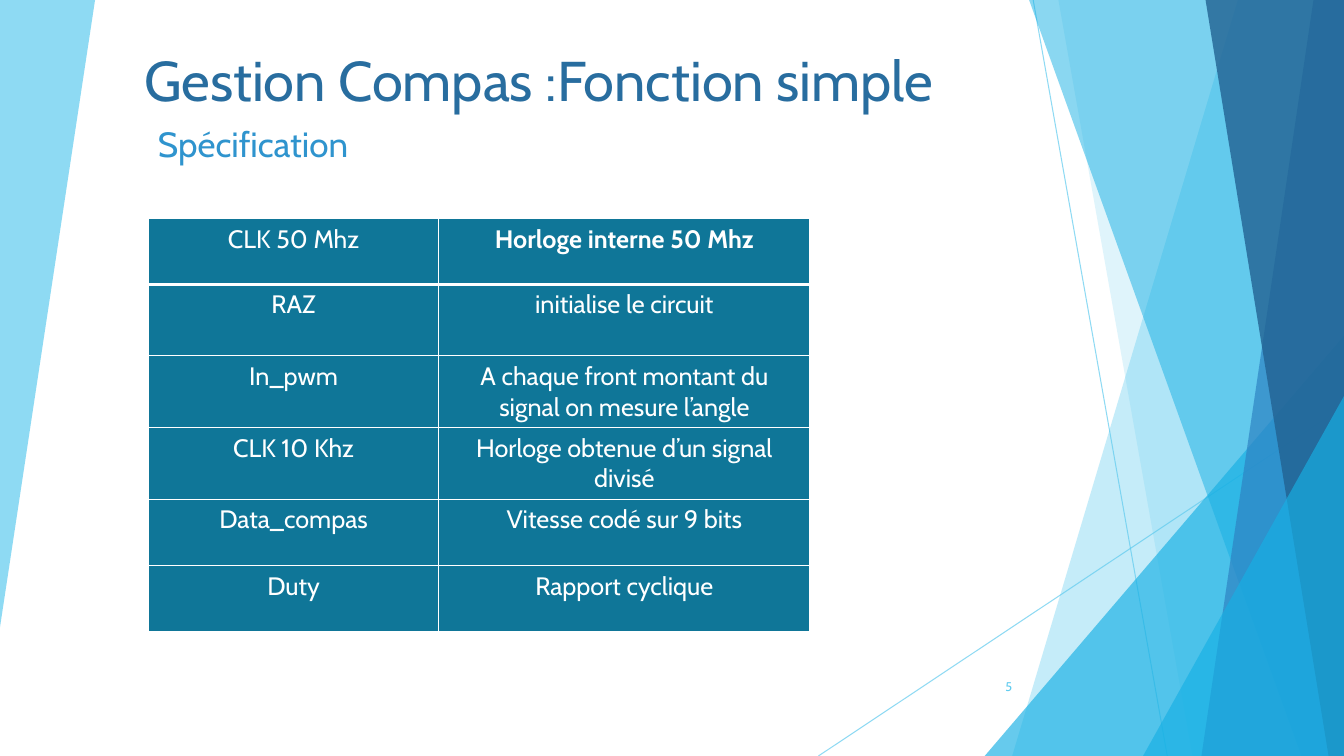
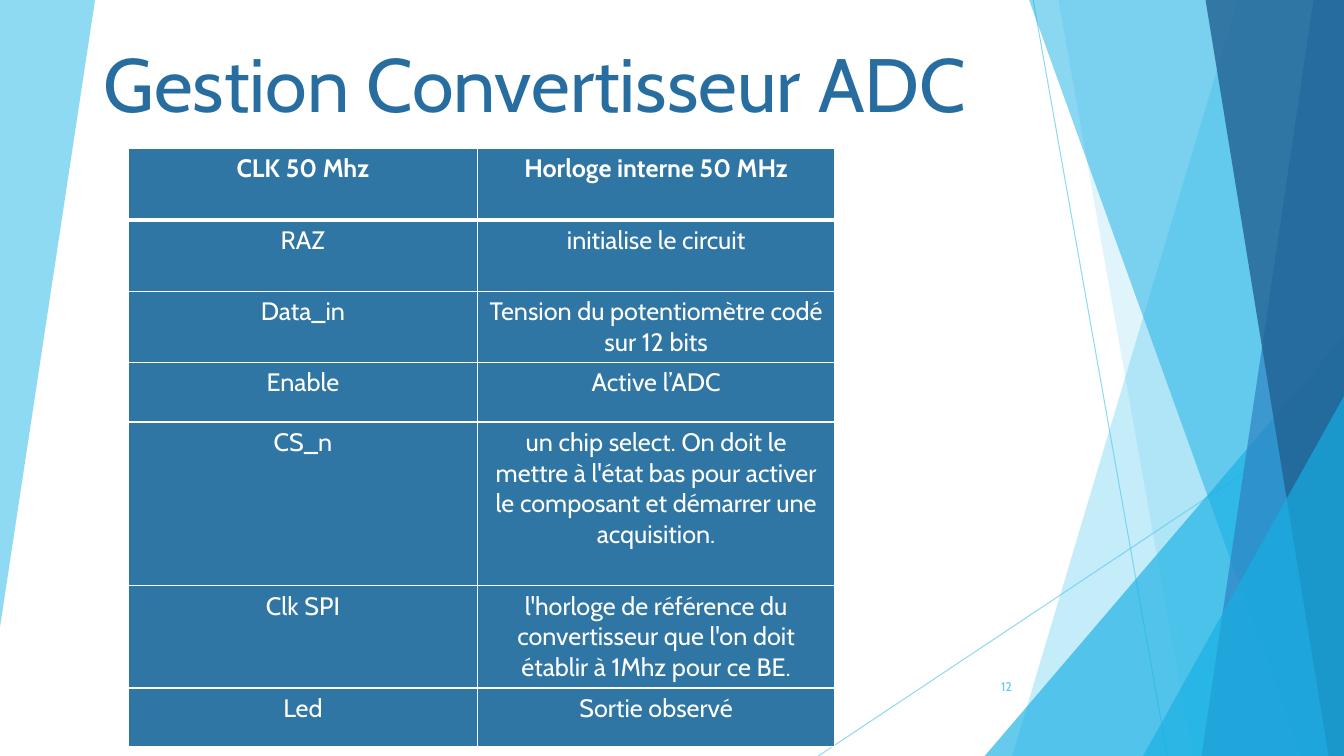
import pptx
import pptx.util
import pptx.dml.color
import pptx.enum.shapes
import pptx.enum.text
import pptx.oxml
import pptx.oxml.ns

Pt = pptx.util.Pt
qn = pptx.oxml.ns.qn
ALIGN = pptx.enum.text.PP_ALIGN
ANCHOR = pptx.enum.text.MSO_ANCHOR

WIDTH, HEIGHT = 960, 540
FONT = "Cabin"
COLORS = {
    "sky": "5FCBEF",
    "cyan": "17B0E4",
    "blue": "2E83C3",
    "navy": "226292",
    "title": "286D9F",
    "subtitle": "2F94CE",
    "teal": "0F7698",
    "steel": "3076A4",
    "white": "FFFFFF",
}

COMPAS_ROWS = [
    (47, "CLK 50 Mhz", "Horloge interne 50 Mhz"),
    (51, "RAZ", "initialise le circuit"),
    (51.4, "In_pwm", "A chaque front montant du signal on mesure l’angle"),
    (51, "CLK 10 Khz", "Horloge obtenue d’un signal divisé"),
    (47.5, "Data_compas", "Vitesse codé sur 9 bits"),
    (47, "Duty", "Rapport cyclique"),
]
ADC_ROWS = [
    (51, "CLK 50 Mhz", "Horloge interne 50 MHz"),
    (51, "RAZ", "initialise le circuit"),
    (51, "Data_in", "Tension du potentiomètre codé sur 12 bits"),
    (42.5, "Enable", "Active l’ADC"),
    (117, "CS_n", "un chip select. On doit le mettre à l'état bas pour activer "
                  "le composant et démarrer une acquisition."),
    (73, "Clk SPI", "l'horloge de référence du convertisseur que l'on doit "
                    "établir à 1Mhz pour ce BE."),
    (42, "Led", "Sortie observé"),
]


def rgb(name):
    return pptx.dml.color.RGBColor.from_string(COLORS[name])


def set_alpha(sp, percent):
    for clr in sp._element.spPr.iter(qn("a:srgbClr")):
        alpha = clr.makeelement(qn("a:alpha"), {"val": str(percent * 1000)})
        clr.append(alpha)


def paint(sp, color, percent):
    sp.shadow.inherit = False
    sp.fill.solid()
    sp.fill.fore_color.rgb = rgb(color)
    sp.line.fill.background()
    set_alpha(sp, percent)


def add_polygon(s, points, color, percent):
    (x, y), *rest = [(Pt(x), Pt(y)) for x, y in points]
    builder = s.shapes.build_freeform(x, y)
    builder.add_line_segments(rest, close=True)
    paint(builder.convert_to_shape(), color, percent)


def add_band(s, top_x, bottom_x, color, percent):
    points = [(top_x, 0), (WIDTH, 0), (WIDTH, HEIGHT), (bottom_x, HEIGHT)]
    add_polygon(s, points, color, percent)


def add_corner(s, left, top, color, percent):
    sp = s.shapes.add_shape(
        pptx.enum.shapes.MSO_SHAPE.ISOSCELES_TRIANGLE,
        Pt(left), Pt(top), Pt(WIDTH - left), Pt(HEIGHT - top))
    sp.adjustments[0] = 1
    paint(sp, color, percent)


def add_thin_line(s, x1, y1, x2, y2):
    sp = s.shapes.add_connector(
        pptx.enum.shapes.MSO_CONNECTOR.STRAIGHT, Pt(x1), Pt(y1), Pt(x2), Pt(y2))
    sp.line.color.rgb = rgb("sky")
    sp.line.width = Pt(0.75)
    set_alpha(sp, 70)
    spPr = sp._element.spPr
    spPr.append(spPr.makeelement(qn("a:effectLst"), {}))


def add_backdrop(s):
    add_polygon(s, [(0, 0), (67.9, 0), (0, 448)], "sky", 70)
    add_thin_line(s, 738, 0, 833.8, HEIGHT)
    add_thin_line(s, WIDTH, 290.2, 584.6, HEIGHT)
    add_band(s, 884.2, 723, "sky", 36)
    add_band(s, 756, 851.8, "sky", 20)
    add_corner(s, 703.4, 239.8, "cyan", 66)
    add_band(s, 735.1, 929.5, "cyan", 50)
    add_band(s, 938.2, 858.2, "blue", 70)
    add_band(s, 861.1, 949, "navy", 80)
    add_corner(s, 816.5, 283, "cyan", 66)


def format_text(tf, size, color, align, bold=False):
    p = tf.paragraphs[0]
    p.alignment = align
    for r in p.runs:
        r.font.name = FONT
        r.font.size = Pt(size)
        r.font.bold = bold
        r.font.color.rgb = rgb(color)


def add_text(s, box, text, size, color, anchor=ANCHOR.TOP, align=ALIGN.LEFT):
    tf = s.shapes.add_textbox(*[Pt(v) for v in box]).text_frame
    tf.word_wrap = True
    tf.vertical_anchor = anchor
    tf.text = text
    format_text(tf, size, color, align)


def set_border(cell, side, width):
    ln = pptx.oxml.parse_xml(
        f'<a:{side} {pptx.oxml.ns.nsdecls("a")} w="{Pt(width)}"><a:solidFill>'
        f'<a:srgbClr val="{COLORS["white"]}"/></a:solidFill></a:{side}>')
    cell._tc.get_or_add_tcPr().append(ln)


def add_signal_table(s, left, top, widths, rows, fill, bold_columns):
    height = sum(row[0] for row in rows)
    table = s.shapes.add_table(
        len(rows), len(widths),
        Pt(left), Pt(top), Pt(sum(widths)), Pt(height)).table
    table.first_row = table.horz_banding = False
    for column, width in zip(table.columns, widths):
        column.width = Pt(width)
    for i, (row_height, *texts) in enumerate(rows):
        table.rows[i].height = Pt(row_height)
        for j, text in enumerate(texts):
            cell = table.cell(i, j)
            cell.text = text
            bold = i == 0 and j in bold_columns
            format_text(cell.text_frame, 18, "white", ALIGN.CENTER, bold)
            set_border(cell, "lnL", 1)
            set_border(cell, "lnR", 1)
            set_border(cell, "lnT", 3 if i == 1 else 1)
            set_border(cell, "lnB", 3 if i == 0 else 1)
            cell.fill.solid()
            cell.fill.fore_color.rgb = rgb(fill)


def add_slide(prs, title, title_box, title_size, number):
    s = prs.slides.add_slide(prs.slide_layouts[6])
    add_backdrop(s)
    add_text(s, title_box, title, title_size, "title", ANCHOR.BOTTOM)
    add_text(s, (676, 476, 54, 28.8), number, 9, "sky",
             ANCHOR.MIDDLE, ALIGN.RIGHT)
    return s


def main():
    prs = pptx.Presentation()
    prs.slide_width, prs.slide_height = Pt(WIDTH), Pt(HEIGHT)

    s = add_slide(prs, "Gestion Compas :Fonction simple",
                  (95.8, 8.6, 644.4, 75.6), 40, "5")
    add_signal_table(s, 106, 156.2, (207.5, 265), COMPAS_ROWS, "teal", {1})
    add_text(s, (105.8, 84.2, 164, 37.4), "Spécification", 25, "subtitle")

    s = add_slide(prs, "Gestion Convertisseur ADC",
                  (67, 19.4, 653.8, 75.6), 54, "12")
    add_signal_table(s, 91.6, 106, (249.6, 255), ADC_ROWS, "steel", {0, 1})

    prs.save("out.pptx")


if __name__ == "__main__":
    main()
